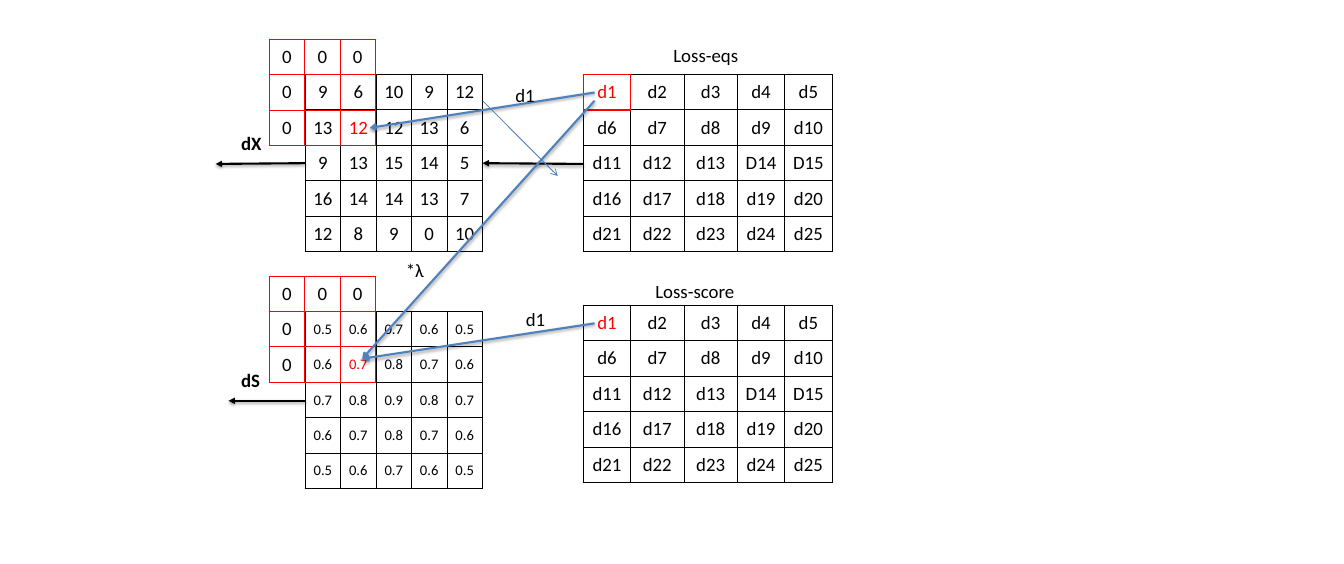
import pptx
import pptx.dml.color
import pptx.enum.shapes
import pptx.enum.text
import pptx.oxml
import pptx.oxml.ns
import pptx.util
from pptx.util import Inches

BLACK, RED, BLUE, THIN_BLUE = "000000", "FF0000", "4F81BD", "4B7EBC"
NAMESPACE = pptx.oxml.ns.nsdecls("a")
CELL = 2.36 / 5
SHADOW = (
    f'<a:effectLst {NAMESPACE}><a:outerShdw blurRad="{pptx.util.Pt(3.1)}" '
    f'dist="{pptx.util.Pt(1.6)}" dir="5400000" rotWithShape="0">'
    '<a:srgbClr val="000000"><a:alpha val="38000"/></a:srgbClr>'
    "</a:outerShdw></a:effectLst>"
)
NO_EFFECT = f"<a:effectLst {NAMESPACE}/>"


def color(value):
    return pptx.dml.color.RGBColor.from_string(value)


class SlideBuilder:
    def __init__(self, slide, font="Calibri", size=18):
        self.slide = slide
        self.font = font
        self.size = size

    def style(self, paragraph, size=None, font_color=BLACK, bold=False, centered=True):
        align = pptx.enum.text.PP_ALIGN
        paragraph.alignment = align.CENTER if centered else align.LEFT
        paragraph.font.name = self.font
        paragraph.font.size = pptx.util.Pt(size or self.size)
        paragraph.font.color.rgb = color(font_color)
        paragraph.font.bold = bold

    def text(self, left, top, width, content, bold=False, centered=False):
        box = self.slide.shapes.add_textbox(
            Inches(left), Inches(top), Inches(width), Inches(0.4))
        frame = box.text_frame
        frame.word_wrap = True
        frame.text = content
        self.style(frame.paragraphs[0], bold=bold, centered=centered)

    def border(self, cell, line_color):
        properties = cell._tc.get_or_add_tcPr()
        for side in ("lnL", "lnR", "lnT", "lnB"):
            properties.append(pptx.oxml.parse_xml(
                f'<a:{side} {NAMESPACE} w="{pptx.util.Pt(1)}"><a:solidFill>'
                f'<a:srgbClr val="{line_color}"/></a:solidFill></a:{side}>'))

    def grid(self, left, top, widths, values, size=None, line_color=BLACK, red_cell=None):
        table = self.slide.shapes.add_table(
            len(values), len(widths), Inches(left), Inches(top),
            Inches(sum(widths)), Inches(CELL * len(values))).table
        table.first_row = table.horz_banding = False
        for column, width in zip(table.columns, widths):
            column.width = Inches(width)
        for row_index, row in enumerate(values):
            table.rows[row_index].height = Inches(CELL)
            for column_index, value in enumerate(row):
                cell = table.cell(row_index, column_index)
                self.border(cell, line_color)
                cell.fill.background()
                cell.margin_left = cell.margin_right = Inches(0.05)
                cell.vertical_anchor = pptx.enum.text.MSO_ANCHOR.MIDDLE
                cell.text = str(value)
                is_red = (row_index, column_index) == red_cell
                self.style(cell.text_frame.paragraphs[0], size, RED if is_red else BLACK)

    def arrow(self, start, end, line_color, width=2, head="arrow", shadow=True):
        points = [Inches(value) for value in start + end]
        connector = self.slide.shapes.add_connector(
            pptx.enum.shapes.MSO_CONNECTOR.STRAIGHT, *points)
        connector.line.color.rgb = color(line_color)
        connector.line.width = pptx.util.Pt(width)
        connector.line._get_or_add_ln().append(
            pptx.oxml.parse_xml(f'<a:tailEnd {NAMESPACE} type="{head}"/>'))
        connector._element.spPr.append(pptx.oxml.parse_xml(SHADOW if shadow else NO_EFFECT))

    def frame(self, left, top, width, height, line_color):
        shape = self.slide.shapes.add_shape(
            pptx.enum.shapes.MSO_SHAPE.RECTANGLE,
            Inches(left), Inches(top), Inches(width), Inches(height))
        shape.shadow.inherit = False
        shape.fill.background()
        shape.line.color.rgb = color(line_color)
        shape.line.width = pptx.util.Pt(1.25)


presentation = pptx.Presentation()
presentation.slide_width = Inches(17.88)
presentation.slide_height = Inches(7.5)
builder = SlideBuilder(presentation.slides.add_slide(presentation.slide_layouts[6]))

# Grid contents
inputs = [
    [9, 6, 10, 9, 12],
    [13, 12, 12, 13, 6],
    [9, 13, 15, 14, 5],
    [16, 14, 14, 13, 7],
    [12, 8, 9, 0, 10],
]
scores = [[f"{0.9 - 0.1 * (abs(row - 2) + abs(column - 2)):.1f}" for column in range(5)]
          for row in range(5)]
gradients = [[f"{'D' if number in (14, 15) else 'd'}{number}"
              for number in range(first, first + 5)] for first in range(1, 26, 5)]
padding = [[0, 0, 0], [0, "", ""], [0, "", ""]]
loss_widths = [0.63, 0.71, 0.71, 0.63, 0.63]

# Input and score grids, loss of the equations
builder.grid(4.06, 0.99, [CELL] * 5, inputs, red_cell=(1, 1))
builder.grid(4.06, 4.14, [CELL] * 5, scores, size=14, red_cell=(1, 1))
builder.grid(7.76, 0.99, loss_widths, gradients, red_cell=(0, 0))

# Backward flow
for start, end in [((7.76, 2.18), (6.42, 2.17)),
                   ((4.06, 2.17), (2.87, 2.18)),
                   ((4.06, 5.33), (3.04, 5.33))]:
    builder.arrow(start, end, BLACK, head="triangle")
builder.text(3.11, 1.7, 0.71, "dX", bold=True)
builder.text(3.11, 4.85, 0.71, "dS", bold=True)

# Red window with zero padding, and the gradient it receives
builder.frame(7.76, 0.99, 0.63, CELL, RED)
for top in (0.52, 3.67):
    builder.grid(3.58, top, [CELL] * 3, padding, line_color=RED)

# Loss of the scores
builder.grid(7.76, 4.06, loss_widths, gradients, red_cell=(0, 0))
builder.text(8.86, 0.53, 1.65, "Loss-eqs")
builder.text(8.62, 3.67, 1.65, "Loss-score")

# Gradient d1 sent to the red cells
for start, end in [((7.91, 1.23), (4.92, 1.7)),
                   ((7.91, 1.34), (4.82, 4.77)),
                   ((7.91, 4.3), (4.82, 4.77))]:
    builder.arrow(start, end, BLUE)
builder.text(5.3, 3.39, 0.59, "*λ")
builder.text(6.68, 1.06, 0.61, "d1", centered=True)
builder.text(6.82, 4.04, 0.61, "d1", centered=True)

# Diagonal direction of the window
builder.arrow((6.42, 1.34), (7.42, 2.34), THIN_BLUE, width=0.75, shadow=False)

presentation.save("out.pptx")
